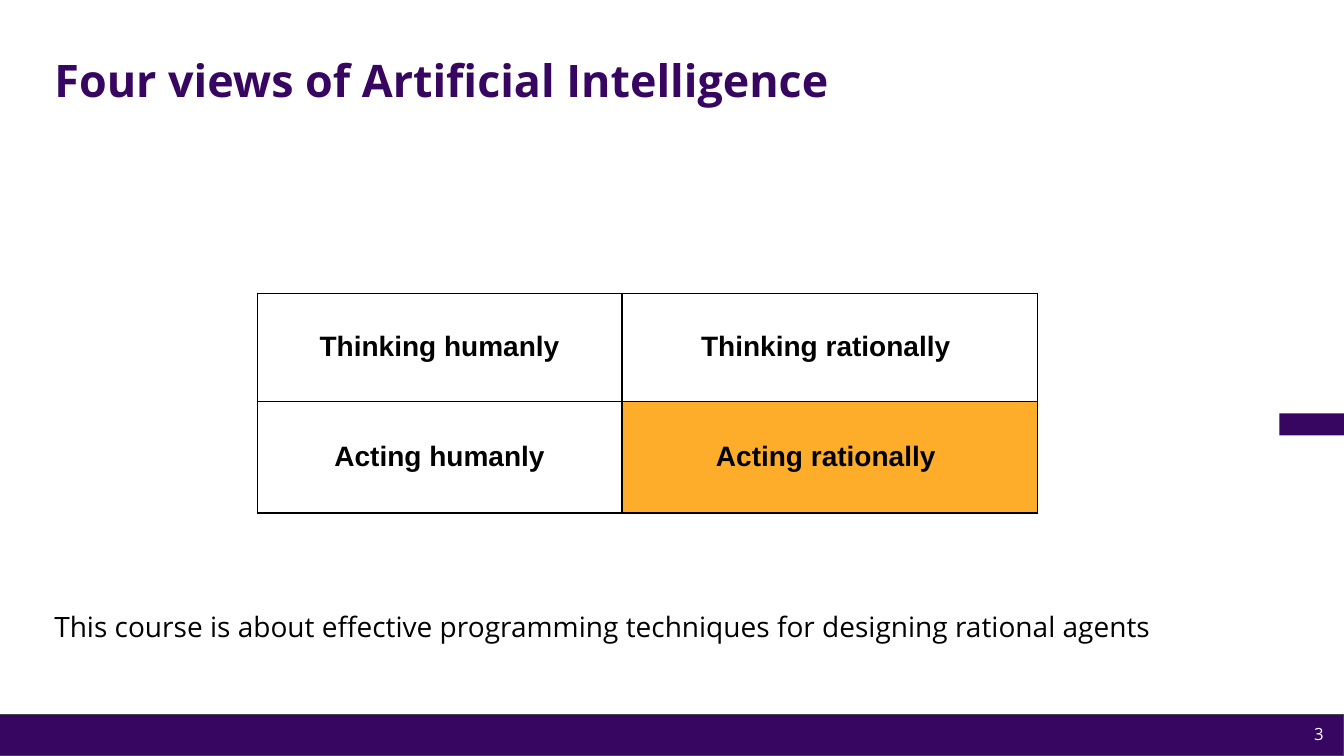
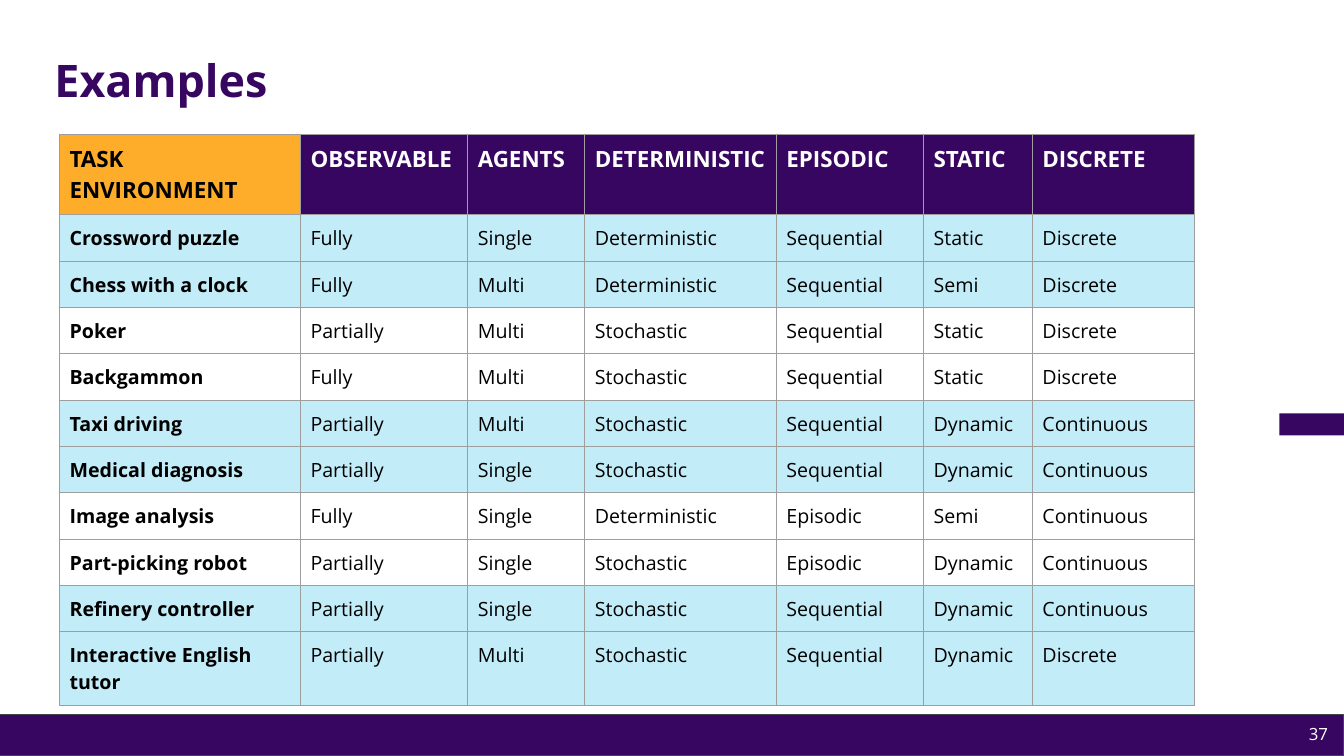
from dataclasses import dataclass

from lxml import etree
from pptx import Presentation
from pptx.dml.color import RGBColor as RGB
from pptx.enum.shapes import MSO_SHAPE as Shape
from pptx.enum.text import MSO_ANCHOR as Anchor, PP_ALIGN as Align
from pptx.oxml.ns import qn
from pptx.util import Inches, Pt


@dataclass(frozen=True)
class Theme:
    purple: str = "370661"
    title: str = "370660"
    orange: str = "FEAD2B"
    blue: str = "C2ECF7"
    white: str = "FFFFFF"
    black: str = "000000"
    grid: str = "9E9E9E"
    outline: str = "43454B"
    font: str = "Open Sans"
    table_font: str = "Arial"
    title_size: int = 32
    body_size: int = 20
    head_size: int = 16
    cell_size: int = 14
    number_size: int = 12


@dataclass(frozen=True)
class Box:
    left: float
    top: float
    width: float
    height: float

    def lengths(self) -> tuple:
        return tuple(Inches(v) for v in (self.left, self.top, self.width, self.height))


@dataclass(frozen=True)
class TextStyle:
    size: int
    color: str
    bold: bool = False
    font: str = "Open Sans"
    align: Align = Align.LEFT
    anchor: Anchor = Anchor.MIDDLE
    spacing: float = 1.0


@dataclass(frozen=True)
class Cell:
    text: str
    style: TextStyle
    fill: str


@dataclass(frozen=True)
class Grid:
    left: float
    top: float
    cols: list
    rows: list
    border: str
    border_pt: float
    pad: float  # space above and below the text of a cell


T = Theme()

# Shared styles and places
TITLE = TextStyle(T.title_size, T.title, bold=True, font=T.font, spacing=0.9)
BODY = TextStyle(T.body_size, T.black, font=T.font, anchor=Anchor.BOTTOM, spacing=0.9)
NUMBER = TextStyle(T.number_size, T.white, font=T.font, align=Align.RIGHT)
VIEW = TextStyle(T.body_size, T.black, True, T.table_font, Align.CENTER)
CORNER = TextStyle(T.head_size, T.black, True, T.font, anchor=Anchor.TOP)
HEAD = TextStyle(T.head_size, T.white, True, T.font, anchor=Anchor.TOP)
TASK = TextStyle(T.cell_size, T.black, True, T.font, anchor=Anchor.TOP)
VALUE = TextStyle(T.cell_size, T.black, False, T.font, anchor=Anchor.TOP)

TITLE_BOX = Box(0.44, 0.4, 11.98, 0.84)
NUMBER_BOX = Box(10.27, 7.08, 3, 0.4)
FOOTER = Box(0, 7.09, 13.33, 0.41)
SIDE_TAB = Box(12.69, 4.1, 0.65, 0.22)

# Slide contents
VIEWS = [
    ["Thinking humanly", "Thinking rationally "],
    ["Acting humanly", "Acting rationally "],
]
HEADINGS = ["TASK ENVIRONMENT", "OBSERVABLE", "AGENTS", "DETERMINISTIC",
            "EPISODIC", "STATIC", "DISCRETE"]
EXAMPLES = [
    ["Crossword puzzle", "Fully", "Single", "Deterministic", "Sequential", "Static", "Discrete"],
    ["Chess with a clock", "Fully", "Multi", "Deterministic", "Sequential", "Semi", "Discrete"],
    ["Poker", "Partially", "Multi", "Stochastic", "Sequential", "Static", "Discrete"],
    ["Backgammon", "Fully", "Multi", "Stochastic", "Sequential", "Static", "Discrete"],
    ["Taxi driving", "Partially", "Multi", "Stochastic", "Sequential", "Dynamic", "Continuous"],
    ["Medical diagnosis", "Partially", "Single", "Stochastic", "Sequential", "Dynamic", "Continuous"],
    ["Image analysis", "Fully", "Single", "Deterministic", "Episodic", "Semi", "Continuous"],
    ["Part-picking robot", "Partially", "Single", "Stochastic", "Episodic", "Dynamic", "Continuous"],
    ["Refinery controller", "Partially", "Single", "Stochastic", "Sequential", "Dynamic", "Continuous"],
    ["Interactive English tutor", "Partially", "Multi", "Stochastic", "Sequential", "Dynamic", "Discrete"],
]


def write(tf, text: str, style: TextStyle) -> None:
    p = tf.paragraphs[0]
    p.text = text
    p.alignment = style.align
    p.line_spacing = style.spacing
    for r in p.runs:
        r.font.name = style.font
        r.font.size = Pt(style.size)
        r.font.bold = style.bold
        r.font.color.rgb = RGB.from_string(style.color)


def add_text(s, box: Box, text: str, style: TextStyle) -> None:
    tf = s.shapes.add_textbox(*box.lengths()).text_frame
    tf.word_wrap = True
    tf.vertical_anchor = style.anchor
    write(tf, text, style)


def add_bar(s, box: Box, outline: str = "") -> None:
    sp = s.shapes.add_shape(Shape.RECTANGLE, *box.lengths())
    sp.shadow.inherit = False
    sp.fill.solid()
    sp.fill.fore_color.rgb = RGB.from_string(T.purple)
    if outline:
        sp.line.color.rgb = RGB.from_string(outline)
        sp.line.width = Pt(0.75)
    else:
        sp.line.fill.background()


def add_slide(prs, title: str, number: str):
    """Add a slide with its title, bands and page number."""
    s = prs.slides.add_slide(prs.slide_layouts[5])
    add_bar(s, FOOTER, T.outline)
    add_bar(s, SIDE_TAB)
    sp = s.shapes.title
    sp.left, sp.top, sp.width, sp.height = TITLE_BOX.lengths()
    sp.text_frame.vertical_anchor = TITLE.anchor
    write(sp.text_frame, title, TITLE)
    add_text(s, NUMBER_BOX, number, NUMBER)
    return s


def set_borders(cell, color: str, width: float) -> None:
    props = cell._tc.get_or_add_tcPr()
    for side in ("a:lnL", "a:lnR", "a:lnT", "a:lnB"):
        ln = etree.SubElement(props, qn(side), w=str(int(Pt(width))))
        fill = etree.SubElement(ln, qn("a:solidFill"))
        etree.SubElement(fill, qn("a:srgbClr"), val=color)


def add_grid(s, grid: Grid, rows: list[list[Cell]]) -> None:
    box = Box(grid.left, grid.top, sum(grid.cols), sum(grid.rows))
    table = s.shapes.add_table(len(rows), len(grid.cols), *box.lengths()).table
    table.first_row = table.horz_banding = False
    for col, width in zip(table.columns, grid.cols):
        col.width = Inches(width)
    for row, height, cells in zip(table.rows, grid.rows, rows):
        row.height = Inches(height)
        for cell, item in zip(row.cells, cells):
            set_borders(cell, grid.border, grid.border_pt)
            cell.fill.solid()
            cell.fill.fore_color.rgb = RGB.from_string(item.fill)
            cell.margin_left = cell.margin_right = Inches(0.1)
            cell.margin_top = cell.margin_bottom = Inches(grid.pad)
            cell.vertical_anchor = item.style.anchor
            write(cell.text_frame, item.text, item.style)


def views_slide(prs) -> None:
    s = add_slide(prs, "Four views of Artificial Intelligence", "3 ")
    cells = [[Cell(text, VIEW, T.orange if i == j == 1 else T.white)
              for j, text in enumerate(row)] for i, row in enumerate(VIEWS)]
    add_grid(s, Grid(2.55, 2.91, [3.62, 4.12], [1.07, 1.11], T.black, 1, 0.05), cells)
    add_text(s, Box(0.44, 5.93, 11.5, 0.5),
             "This course is about effective programming techniques for designing rational agents",
             BODY)


def examples_slide(prs) -> None:
    s = add_slide(prs, "Examples", "37")
    cells = [[Cell(HEADINGS[0], CORNER, T.orange),
              *(Cell(text, HEAD, T.purple) for text in HEADINGS[1:])]]
    for i, (task, *values) in enumerate(EXAMPLES):
        fill = T.white if i // 2 % 2 else T.blue  # bands of two rows
        cells.append([Cell(task, TASK, fill), *(Cell(v, VALUE, fill) for v in values)])
    heights = [0.8] + [0.46] * (len(EXAMPLES) - 1) + [0.73]
    add_grid(s, Grid(0.59, 1.33, [2.39, 1.66, 1.16, 1.9, 1.46, 1.08, 1.61],
                     heights, T.grid, 0.75, 0.1), cells)


def main() -> None:
    prs = Presentation()
    prs.slide_width, prs.slide_height = Inches(13.33), Inches(7.5)
    views_slide(prs)
    examples_slide(prs)
    prs.save("out.pptx")


if __name__ == "__main__":
    main()
